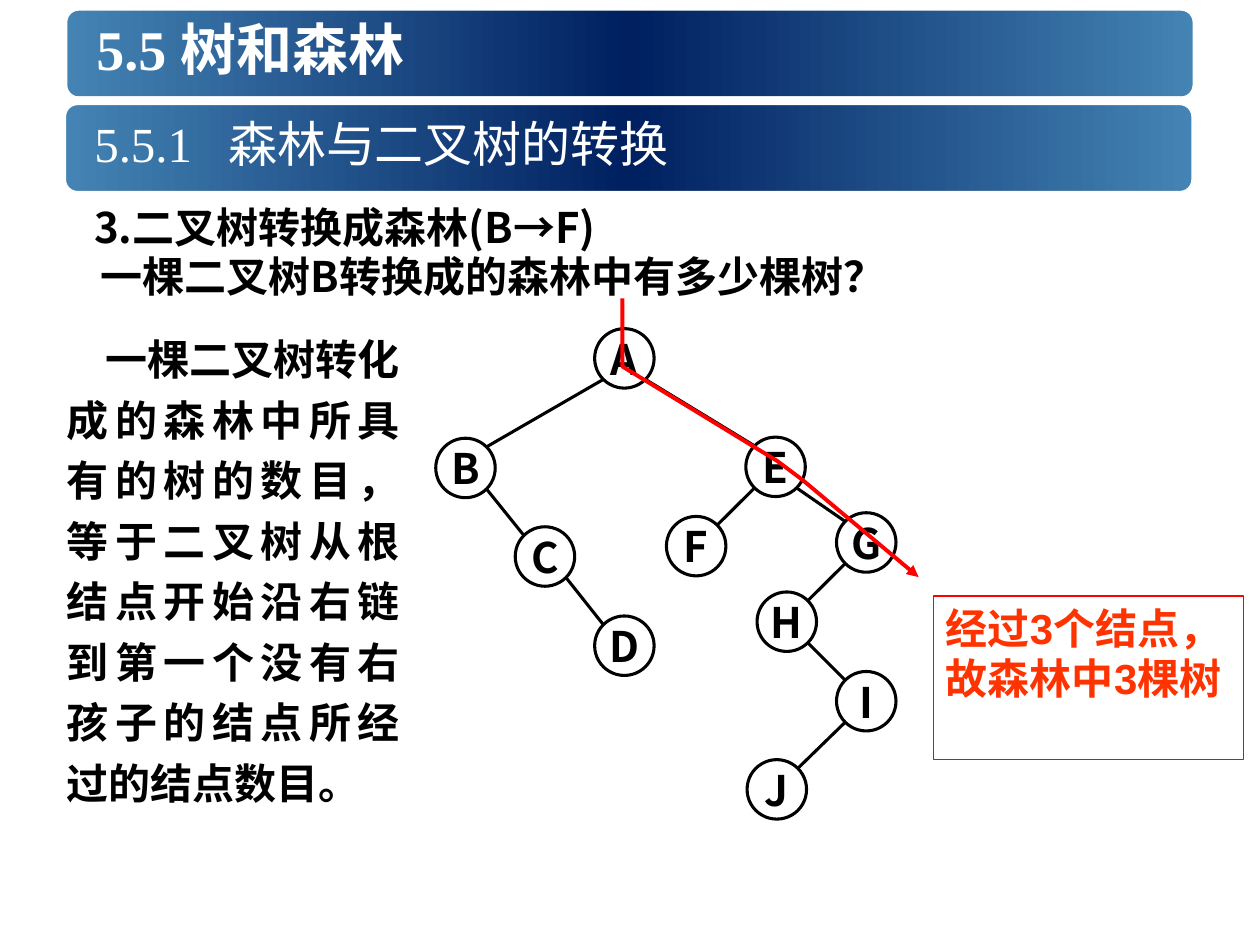
import math

import pptx
import pptx.dml.color
import pptx.enum.shapes
import pptx.enum.text
import pptx.oxml.ns
import pptx.util
from lxml import etree

Pt = pptx.util.Pt
RGB = pptx.dml.color.RGBColor.from_string
qn = pptx.oxml.ns.qn
SHAPES = pptx.enum.shapes.MSO_SHAPE
ALIGN = pptx.enum.text.PP_ALIGN
ANCHOR = pptx.enum.text.MSO_ANCHOR

COLORS = {"edge_blue": "4484B4", "navy": "002060", "white": "FFFFFF",
          "black": "000000", "red": "FF0000", "orange": "FF3300"}
SANS, SERIF, ARIAL = "Noto Sans CJK SC", "Times New Roman", "Arial"

deck = pptx.Presentation()
deck.slide_width, deck.slide_height = Pt(720), Pt(540)
slide = deck.slides.add_slide(deck.slide_layouts[6])
shapes = slide.shapes


def write(shape, runs, color="black", size=24, bold=True, tab=None,
          frame_format=None, paragraph_format=None):
    """Fill a shape with one paragraph of (text, font) runs."""
    frame = shape.text_frame
    paragraph = frame.paragraphs[0]
    for name, value in {"word_wrap": True, **(frame_format or {})}.items():
        setattr(frame, name, value)
    for name, value in {"alignment": ALIGN.LEFT, **(paragraph_format or {})}.items():
        setattr(paragraph, name, value)
    if tab:
        stops = etree.SubElement(paragraph._p.get_or_add_pPr(), qn("a:tabLst"))
        etree.SubElement(stops, qn("a:tab"), pos=str(Pt(tab)), algn="l")
    for text, font in runs:
        run = paragraph.add_run()
        run.text = text
        for name, value in {"name": font, "size": Pt(size), "bold": bold}.items():
            setattr(run.font, name, value)
        run.font.color.rgb = RGB(COLORS[color])
        run.font._element.find(qn("a:latin")).addnext(
            etree.Element(qn("a:ea"), typeface=SANS))


def outline(shape, color, width):
    """Give a shape a plain outline without fill or shadow."""
    shape.shadow.inherit = False
    shape.fill.background()
    shape.line.color.rgb = RGB(COLORS[color])
    shape.line.width = Pt(width)


# Title bars: (bar left, top, text left, text, size, bold, tab)
bars = [(36, 3.6, 48, "5.5 树和森林", 32, True, None),
        (35.3, 57.6, 46.8, "5.5.1\t森林与二叉树的转换", 28, False, 76.5)]
for left, top, text_left, heading, size, bold, tab in bars:
    bar = shapes.add_shape(SHAPES.ROUNDED_RECTANGLE, Pt(left), Pt(top), Pt(648), Pt(54))
    outline(bar, "white", 5)
    bar.fill.gradient()
    bar.fill.gradient_angle = 0
    stops = bar._element.spPr.find(qn("a:gradFill")).find(qn("a:gsLst"))
    for old_stop in list(stops):
        stops.remove(old_stop)
    for position, color in ((0, "edge_blue"), (50000, "navy"), (100000, "edge_blue")):
        stop = etree.SubElement(stops, qn("a:gs"), pos=str(position))
        etree.SubElement(stop, qn("a:srgbClr"), val=COLORS[color])
    heading_box = shapes.add_textbox(Pt(text_left), Pt(top), Pt(630), Pt(48))
    write(heading_box, [(heading, SERIF)], "white", size, bold, tab,
          {"vertical_anchor": ANCHOR.MIDDLE})

# Question and explanation: (left, top, width, height, runs, paragraph format)
passages = [
    (46.8, 105.8, 659.5, 41.8, [("3.二叉树转换成森林(B→F)", SANS)], {"line_spacing": 1.2}),
    (50.4, 139.7, 591, 36, [("一棵二叉树B转换成的森林中有多少棵树？", SANS)], {}),
    (31, 181.4, 204.5, 318.2,
     [("一棵二叉树转化成的森林中所具有的树的数目，等于二叉树从根结点开始沿右链到第一个没有右孩子的", SANS),
      ("结点", ARIAL), ("所经过的", SANS), ("结点", ARIAL), ("数目。", SANS)],
     {"line_spacing": 1.2, "alignment": ALIGN.JUSTIFY}),
]
for left, top, width, height, runs, paragraph_format in passages:
    passage = shapes.add_textbox(Pt(left), Pt(top), Pt(width), Pt(height))
    write(passage, runs, paragraph_format=paragraph_format)
passage.text_frame.paragraphs[0]._p.get_or_add_pPr().set("indent", str(Pt(22)))

# Binary tree nodes, by centre
RADIUS = 17
centres = {"A": (356.8, 204.8), "B": (266, 267.4), "E": (443.2, 266.8),
           "C": (311.4, 318), "D": (356.8, 369), "F": (397.8, 312.1),
           "G": (495, 310), "H": (449.6, 355.3), "I": (495, 400.7), "J": (443.9, 451.1)}
for letter, (x, y) in centres.items():
    node = shapes.add_shape(SHAPES.OVAL, Pt(x - RADIUS), Pt(y - RADIUS),
                            Pt(2 * RADIUS), Pt(2 * RADIUS))
    outline(node, "black", 1.75)
    write(node, [(letter, SANS)],
          frame_format={"word_wrap": False, "vertical_anchor": ANCHOR.MIDDLE},
          paragraph_format={"alignment": ALIGN.CENTER})

# Branches run between the diagonal points of the circles
diagonal = RADIUS * math.sqrt(0.5)
for parent, child in ("AB", "AE", "BC", "CD", "EF", "EG", "GH", "HI", "IJ"):
    (x1, y1), (x2, y2) = centres[parent], centres[child]
    reach = math.copysign(diagonal, x2 - x1)
    branch = shapes.add_connector(pptx.enum.shapes.MSO_CONNECTOR.STRAIGHT,
                                  Pt(x1 + reach), Pt(y1 + diagonal),
                                  Pt(x2 - reach), Pt(y2 - diagonal))
    branch.line.color.rgb = RGB(COLORS["black"])
    branch.line.width = Pt(1.75)
    etree.SubElement(branch._element.spPr, qn("a:effectLst"))

# Red path along the right chain
chain = [(355.7, 170.6), (355.7, 209.5), (444.2, 263.5), (458.6, 274.3), (524.9, 329.8)]
points = [(Pt(x), Pt(y)) for x, y in chain]
builder = shapes.build_freeform(*points[0])
builder.add_line_segments(points[1:], close=False)
right_chain = builder.convert_to_shape()
outline(right_chain, "red", 2.25)
etree.SubElement(right_chain.line._get_or_add_ln(), qn("a:tailEnd"), type="triangle")

# Conclusion
conclusion = shapes.add_shape(SHAPES.RECTANGLE, Pt(533.5), Pt(340.6), Pt(177), Pt(93.6))
outline(conclusion, "red", 0.75)
write(conclusion, [("经过3个结点，故森林中3棵树", ARIAL)], "orange",
      frame_format={"vertical_anchor": ANCHOR.TOP})

deck.save("out.pptx")
